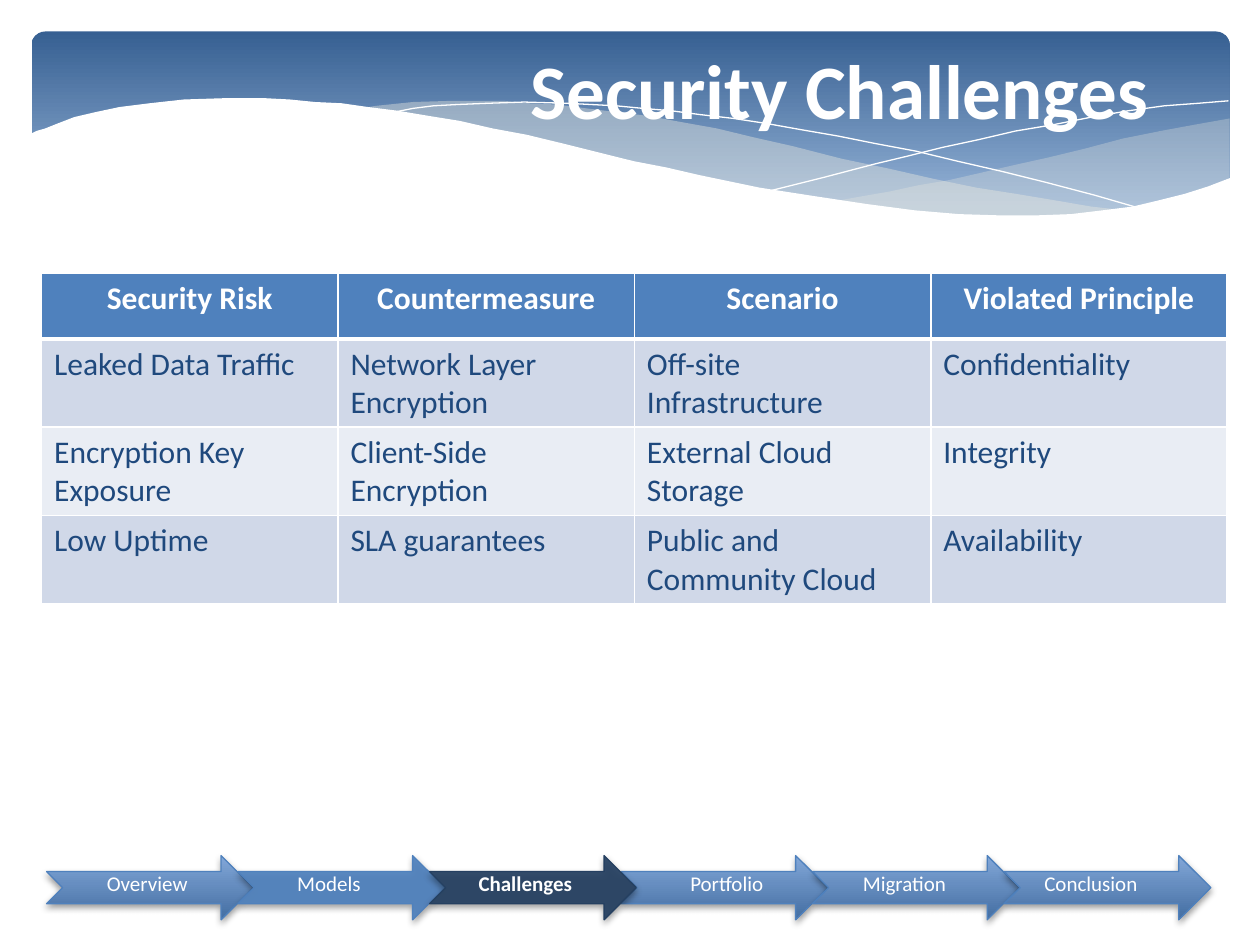
import pptx
import pptx.dml.color
import pptx.enum.shapes
import pptx.enum.text
import pptx.oxml
import pptx.oxml.ns
import pptx.util
from pptx.util import Inches

COLORS = {
    "white": "FFFFFF", "band_top": "376092", "band_bottom": "95B3D7", "sand": "EEECE1",
    "blue": "4F81BD", "arrow_top": "82A7D8", "arrow_bottom": "446EA2", "current": "254061",
    "text": "1F497D", "odd_row": "D0D8E8", "even_row": "E9EDF4", "shadow": "000000",
}
FONT = "Calibri"
SHAPES = pptx.enum.shapes.MSO_SHAPE
CENTER = pptx.enum.text.PP_ALIGN.CENTER

# Wave outlines, in hundredths of an inch
RIGHT_WAVE = [
    (976, 94), (948, 99), (921, 104), (891, 110), (861, 118), (832, 125), (805, 131),
    (779, 137), (753, 143), (729, 147), (706, 152), (683, 156), (661, 160), (691, 164),
    (719, 167), (745, 169), (769, 171), (792, 172), (814, 172), (835, 172), (854, 170),
    (872, 169), (889, 166), (905, 163), (921, 160), (935, 156), (949, 152), (963, 147),
    (976, 141),
]
LEFT_WAVE = [
    (893, 167), (866, 164), (837, 159), (807, 154), (775, 149), (741, 142), (706, 134),
    (668, 126), (629, 116), (598, 109), (569, 102), (541, 97), (514, 92), (489, 89),
    (465, 86), (442, 83), (420, 82), (399, 80), (361, 80), (328, 81), (299, 84), (286, 86),
    (304, 88), (323, 90), (342, 94), (362, 97), (383, 101), (404, 106), (427, 110),
    (449, 116), (491, 126), (530, 135), (566, 143), (601, 150), (634, 156), (665, 161),
    (695, 165), (722, 168), (748, 170), (773, 172), (796, 173), (818, 173), (838, 172),
    (857, 171), (876, 169),
]
FALLING_LINE = [
    (309, 90), (318, 88), (328, 86), (344, 84), (363, 83), (387, 82), (416, 81), (450, 82),
    (489, 84), (510, 86), (533, 88), (556, 91), (582, 94), (608, 98), (636, 103), (665, 108),
    (695, 114), (727, 120), (760, 128), (795, 136), (831, 145), (869, 155), (907, 166),
]
RISING_LINE = [
    (613, 151), (653, 141), (695, 130), (720, 124), (748, 117), (776, 111), (806, 104),
    (836, 99), (866, 93), (895, 88), (924, 84), (951, 82), (975, 80),
]
LOWER_EDGE = [
    (977, 141), (959, 148), (940, 154), (920, 159), (899, 164), (875, 167), (850, 170),
    (823, 171), (793, 171), (761, 170), (726, 167), (688, 162), (648, 156), (603, 149),
    (579, 144), (555, 139), (529, 133), (503, 128), (475, 121), (447, 114), (418, 107),
    (391, 102), (365, 96), (340, 92), (316, 88), (292, 85), (271, 82), (250, 81), (230, 79),
    (211, 78), (177, 78), (146, 79), (119, 82), (95, 85), (76, 89), (59, 93), (46, 98),
    (36, 102), (29, 104), (23, 107), (23, 224), (977, 224),
]

TABLE_ROWS = [
    ["Security Risk", "Countermeasure", "Scenario", "Violated Principle"],
    ["Leaked Data Traffic", "Network Layer Encryption", "Off-site Infrastructure",
     "Confidentiality"],
    ["Encryption Key Exposure", "Client-Side Encryption", "External Cloud Storage",
     "Integrity"],
    ["Low Uptime", "SLA guarantees", "Public and Community Cloud", "Availability"],
]
CHAPTERS = ["Overview", "Models", "Challenges", "Portfolio", "Migration", "Conclusion"]
LABEL_STOPS = [0.41, 1.92, 3.36, 5.04, 6.41, 7.85]
CURRENT_CHAPTER = "Challenges"


def rgb(name):
    return pptx.dml.color.RGBColor.from_string(COLORS[name])


def add_xml(parent, markup):
    """Append a drawing element, given as markup with the a: prefix."""
    tag_end = min(markup.index(mark) for mark in " >" if mark in markup)
    namespace = " " + pptx.oxml.ns.nsdecls("a")
    parent.append(pptx.oxml.parse_xml(markup[:tag_end] + namespace + markup[tag_end:]))


class SlideBuilder:
    def __init__(self, slide):
        self.shapes = slide.shapes

    def fill_solid(self, shape, color, opacity=100):
        shape.fill.solid()
        shape.fill.fore_color.rgb = rgb(color)
        if opacity < 100:
            color_node = shape.fill._xPr.find(".//" + pptx.oxml.ns.qn("a:srgbClr"))
            add_xml(color_node, f'<a:alpha val="{opacity * 1000}"/>')

    def fill_downward(self, shape, top, bottom, end=1.0):
        shape.fill.gradient()
        shape.fill.gradient_angle = 270
        for stop, color, position in zip(shape.fill.gradient_stops, (top, bottom), (0, end)):
            stop.color.rgb = rgb(color)
            stop.position = position

    def band(self, left, top, width, height):
        band = self.shapes.add_shape(SHAPES.ROUNDED_RECTANGLE, Inches(left), Inches(top),
                                     Inches(width), Inches(height))
        band.adjustments[0] = 0.07
        band.shadow.inherit = False
        band.line.fill.background()
        self.fill_downward(band, "band_top", "band_bottom", 0.9)

    def outline(self, points, closed):
        builder = self.shapes.build_freeform(*points[0], scale=Inches(0.01))
        builder.add_line_segments(points[1:], close=closed)
        shape = builder.convert_to_shape()
        shape.shadow.inherit = False
        return shape

    def wave(self, points, color, opacity=100):
        wave = self.outline(points, closed=True)
        wave.line.fill.background()
        self.fill_solid(wave, color, opacity)

    def hairline(self, points):
        curve = self.outline(points, closed=False)
        curve.fill.background()
        curve.line.color.rgb = rgb("white")
        curve.line.width = pptx.util.Pt(0)

    def arrow(self, left, top, width, height, color=None):
        """Draw a chapter arrow; without a color it gets the blue gradient."""
        arrow = self.shapes.add_shape(SHAPES.NOTCHED_RIGHT_ARROW, Inches(left), Inches(top),
                                      Inches(width), Inches(height))
        if color:
            self.fill_solid(arrow, color, 93)
        else:
            self.fill_downward(arrow, "arrow_top", "arrow_bottom")
        arrow.line.color.rgb = rgb(color or "blue")
        arrow.line.width = pptx.util.Pt(0.75)
        arrow.shadow.inherit = False
        effects = arrow._element.spPr.find(pptx.oxml.ns.qn("a:effectLst"))
        add_xml(effects, '<a:outerShdw blurRad="50800" dist="25400" dir="5400000" '
                         f'rotWithShape="0"><a:srgbClr val="{COLORS["shadow"]}">'
                         '<a:alpha val="38000"/></a:srgbClr></a:outerShdw>')

    def text_box(self, left, top, width, height):
        box = self.shapes.add_textbox(Inches(left), Inches(top), Inches(width), Inches(height))
        box.text_frame.word_wrap = True
        return box.text_frame

    def span(self, para, text, size, color="white", bold=False):
        span = para.add_run()
        span.text = text
        span.font.name = FONT
        span.font.size = pptx.util.Pt(size)
        span.font.bold = bold
        span.font.color.rgb = rgb(color)

    def title(self, text, *place):
        frame = self.text_box(*place)
        frame.vertical_anchor = pptx.enum.text.MSO_ANCHOR.MIDDLE
        para = frame.paragraphs[0]
        para.alignment = CENTER
        self.span(para, text, 44, bold=True)

    def chapter_labels(self, labels, stops, *place):
        para = self.text_box(*place).paragraphs[0]
        tabs = "".join(f'<a:tab pos="{Inches(stop)}" algn="l"/>' for stop in stops)
        add_xml(para._p.get_or_add_pPr(), f"<a:tabLst>{tabs}</a:tabLst>")
        for label in labels:
            self.span(para, "\t" + label, 12, bold=label == CURRENT_CHAPTER)

    def table(self, rows, left, top, width, row_height):
        frame = self.shapes.add_table(len(rows), len(rows[0]), Inches(left), Inches(top),
                                      Inches(width), Inches(row_height * len(rows)))
        for row_index, row in enumerate(rows):
            header = row_index == 0
            fill = "blue" if header else ("even_row", "odd_row")[row_index % 2]
            for column_index, text in enumerate(row):
                cell = frame.table.cell(row_index, column_index)
                self.cell_borders(cell, top=3 if row_index == 1 else 1,
                                  bottom=3 if header else 1)
                self.fill_solid(cell, fill)
                para = cell.text_frame.paragraphs[0]
                if header:
                    para.alignment = CENTER
                self.span(para, text, 18, "white" if header else "text", header)

    def cell_borders(self, cell, top, bottom):
        for side, width in zip("LRTB", (1, 1, top, bottom)):
            add_xml(cell._tc.get_or_add_tcPr(),
                    f'<a:ln{side} w="{pptx.util.Pt(width)}"><a:solidFill>'
                    f'<a:srgbClr val="{COLORS["white"]}"/></a:solidFill></a:ln{side}>')


def main():
    deck = pptx.Presentation()
    deck.slide_width, deck.slide_height = Inches(10), Inches(7.5)
    page = SlideBuilder(deck.slides.add_slide(deck.slide_layouts[6]))

    page.band(0.25, 0.25, 9.51, 1.56)
    page.wave(RIGHT_WAVE, "sand", 29)
    page.wave(LEFT_WAVE, "sand", 40)
    page.hairline(FALLING_LINE)
    page.hairline(RISING_LINE)
    page.wave(LOWER_EDGE, "white")
    page.title("Security Challenges", 3.55, 0.27, 6.23, 0.87)

    arrow_colors = {1: "blue", 2: "current"}
    for index in (3, 4, 5, 0, 1, 2):  # the current chapter lies on top
        page.arrow(0.37 + 1.52 * index, 6.79, 1.64, 0.51, arrow_colors.get(index))
    page.chapter_labels(CHAPTERS, LABEL_STOPS, 0.34, 6.86, 9.44, 0.3)

    page.table(TABLE_ROWS, 0.33, 2.17, 9.41, 0.52)
    deck.save("out.pptx")


if __name__ == "__main__":
    main()
